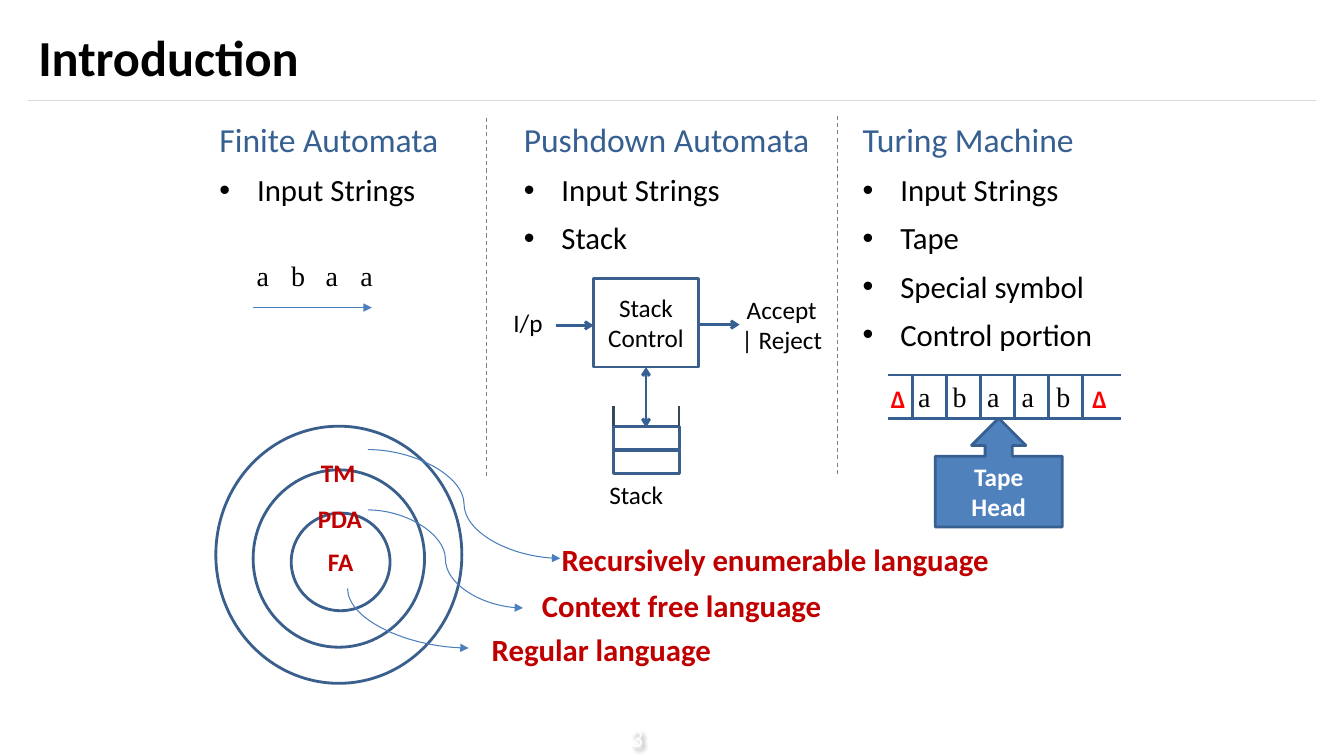
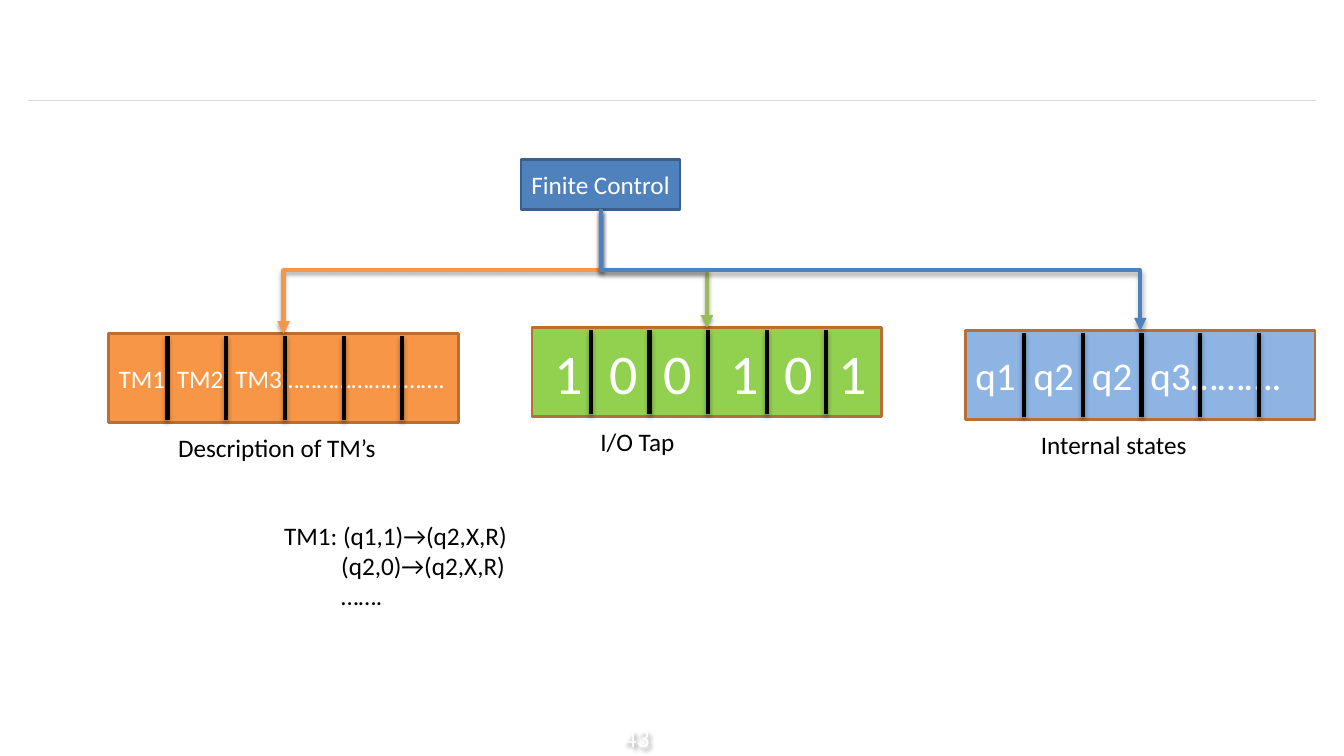
from lxml import etree
from pptx import Presentation
from pptx.dml import color
from pptx.enum import dml, shapes, text
from pptx.oxml import ns
from pptx.util import Cm, Pt

BLACK, WHITE, RED = "000000", "FFFFFF", "C00000"
NAVY, OUTLINE, BLUE, CURVE = "376092", "3A5F8C", "4F81BD", "4B7EBC"
GREY, RULE, SLATE = "808080", "D9D9D9", "34495E"
ORANGE, LIME, SKY, BROWN, OLIVE = "F79646", "92D050", "8EB4E3", "B76F34", "9BBB59"

STRAIGHT = shapes.MSO_CONNECTOR.STRAIGHT
ELBOW = shapes.MSO_CONNECTOR.ELBOW
CURVED = shapes.MSO_CONNECTOR.CURVE
RECTANGLE = shapes.MSO_SHAPE.RECTANGLE
LEFT, CENTER = text.PP_ALIGN.LEFT, text.PP_ALIGN.CENTER
TOP, MIDDLE = text.MSO_ANCHOR.TOP, text.MSO_ANCHOR.MIDDLE


def rgb(value):
    return color.RGBColor.from_string(value)


def child(parent, tag, **attributes):
    return etree.SubElement(parent, ns.qn(tag), attributes)


def set_values(target, values):
    for name, value in values.items():
        setattr(target, name, value)


class Deck:
    font = {"name": "Calibri", "size": Pt(18), "bold": False}
    strip_width, strip_height, cell = 8.81, 2.24, 1.48

    def __init__(self):
        self.presentation = Presentation()
        set_values(self.presentation, {"slide_width": Cm(33.87), "slide_height": Cm(19.05)})
        self.slide = None

    def new_slide(self, number, title=None):
        layout = self.presentation.slide_layouts[5 if title else 6]
        self.slide = self.presentation.slides.add_slide(layout)
        self.line((0.71, 2.54), (33.17, 2.54), RULE, 0.75)
        page = self.label(number, 14.88, 18.08, 2.34, 1.02, align=CENTER,
                          anchor=MIDDLE, tint=WHITE)
        self.shadow(page, "2700000", "38100")
        if title:
            placeholder = self.slide.shapes.title
            self.place(placeholder, 0.71, 0.3, 32.46, 2.24)
            self.set_text(placeholder, title, anchor=MIDDLE, size=Pt(36), bold=True)

    def place(self, shape, left, top, width, height):
        set_values(shape, {"left": Cm(left), "top": Cm(top),
                           "width": Cm(width), "height": Cm(height)})

    def paragraph(self, paragraph, content, align=LEFT, tint=BLACK, **font):
        paragraph.alignment = align
        run = paragraph.add_run()
        run.text = content
        set_values(run.font, {**self.font, **font})
        run.font.color.rgb = rgb(tint)

    def set_text(self, shape, content, anchor=TOP, **style):
        frame = shape.text_frame
        set_values(frame, {"word_wrap": True, "vertical_anchor": anchor})
        self.paragraph(frame.paragraphs[0], content, **style)

    def label(self, content, left, top, width, height=1.02, **style):
        box = self.slide.shapes.add_textbox(Cm(left), Cm(top), Cm(width), Cm(height))
        self.set_text(box, content, **style)
        return box

    def indent(self, paragraph, margin, first=0):
        properties = paragraph._p.get_or_add_pPr()
        properties.set("marL", str(Cm(margin)))
        properties.set("indent", str(Cm(first)))
        return properties

    def column(self, left, heading, items):
        box = self.label(heading, left, 2.74, 8.15, 14.81, tint=NAVY, size=Pt(24))
        box.text_frame.paragraphs[0].line_spacing = 1.14
        for item in items:
            paragraph = box.text_frame.add_paragraph()
            properties = self.indent(paragraph, 0.95, -0.95)
            child(properties, "a:buFont", typeface="Arial")
            child(properties, "a:buChar", char="•")
            set_values(paragraph, {"line_spacing": 1.14, "space_before": Pt(4.4)})
            self.paragraph(paragraph, item, size=Pt(22))

    def shape(self, kind, left, top, width, height, content=None,
              fill=None, outline=OUTLINE, **style):
        shape = self.slide.shapes.add_shape(kind, Cm(left), Cm(top), Cm(width), Cm(height))
        shape.shadow.inherit = False
        if fill:
            shape.fill.solid()
            shape.fill.fore_color.rgb = rgb(fill)
        else:
            shape.fill.background()
        shape.line.color.rgb = rgb(outline)
        shape.line.width = Pt(2)
        if content:
            self.set_text(shape, content, **{"anchor": MIDDLE, "align": CENTER, **style})
        return shape

    def shadow(self, shape, direction="5400000", distance="23000"):
        properties = shape._element.spPr
        effects = properties.find(ns.qn("a:effectLst"))
        if effects is None:
            effects = child(properties, "a:effectLst")
        outer = child(effects, "a:outerShdw", blurRad="40000", dist=distance,
                      dir=direction, rotWithShape="0")
        child(child(outer, "a:srgbClr", val=BLACK), "a:alpha", val="35000")

    def line(self, start, end, tint=NAVY, width=2, kind=STRAIGHT,
             head=None, tail=None, dash=None):
        connector = self.slide.shapes.add_connector(
            kind, *(Cm(value) for value in (*start, *end)))
        connector.line.color.rgb = rgb(tint)
        connector.line.width = Pt(width)
        if dash:
            connector.line.dash_style = dash
        properties = connector._element.spPr
        outline = properties.find(ns.qn("a:ln"))
        for tag, arrow in (("a:headEnd", head), ("a:tailEnd", tail)):
            if arrow:
                child(outline, tag, type=arrow)
        child(properties, "a:effectLst")
        return connector

    def downward(self, start, end, kind, tint, width, preset=None, drop=None):
        (x1, y1), (x2, y2) = start, end
        middle_x, middle_y = (x1 + x2) / 2, (y1 + y2) / 2
        across, down = abs(x2 - x1) / 2, (y2 - y1) / 2
        side = 1 if x2 > x1 else -1
        connector = self.line((middle_x + side * down, middle_y - across),
                              (middle_x - side * down, middle_y + across),
                              tint, width, kind, tail="triangle")
        properties = connector._element.spPr
        properties.find(ns.qn("a:xfrm")).set("rot", "16200000" if side > 0 else "5400000")
        geometry = properties.find(ns.qn("a:prstGeom"))
        if preset:
            geometry.set("prst", preset)
        if drop:
            share = round(drop / (y2 - y1) * 100000)
            child(geometry.find(ns.qn("a:avLst")), "a:gd", name="adj1", fmla=f"val {share}")
        return connector

    def letters(self, content, left, top):
        for index, letter in enumerate(content):
            self.label(letter, left + 0.87 * index, top, 0.84, 1.12,
                       name="Times New Roman", size=Pt(20))

    def strip(self, left, top, fill, content, size, tabs):
        shape = self.shape(RECTANGLE, left, top, self.strip_width, self.strip_height,
                           content, fill, BROWN, align=LEFT, size=Pt(size), tint=WHITE)
        properties = shape.text_frame.paragraphs[0]._p.get_or_add_pPr()
        stops = child(properties, "a:tabLst")
        for tab in tabs:
            child(stops, "a:tab", pos=str(Cm(tab)), algn="l")
        for index in range(1, 6):
            x = left + self.cell * index
            self.shadow(self.line((x, top + 0.06), (x, top + 2.18), BLACK, 3))


def introduction(deck):
    deck.new_slide("3", "Introduction")
    deck.column(5.28, "Finite Automata", ["Input Strings"])
    deck.column(12.95, "Pushdown Automata", ["Input Strings", "Stack"])
    deck.column(21.49, "Turing Machine",
                ["Input Strings", "Tape", "Special symbol", "Control portion"])
    for x, top in ((12.27, 2.97), (21.11, 2.92)):
        deck.line((x, top), (x, top + 9.06), GREY, 0.75, dash=dml.MSO_LINE.DASH)

    tape_top, tape_bottom = 9.45, 10.54
    for y in (tape_top, tape_bottom):
        deck.line((22.38, y), (28.24, y))
    for index in range(6):
        x = 22.99 + 0.86 * index
        deck.line((x, tape_top), (x, tape_bottom))
    deck.shape(shapes.MSO_SHAPE.UP_ARROW_CALLOUT, 23.57, tape_bottom, 3.2, 2.74,
               "Tape Head", BLUE, NAVY, tint=WHITE, bold=True)

    for top in (10.74, 11.35):
        deck.shape(RECTANGLE, 15.47, top, 1.65, 0.58)
    for x in (15.47, 17.11):
        deck.line((x, 10.74), (x, 10.24), SLATE)
    deck.line((14.02, 8.2), (14.96, 8.2), tail="arrow")
    deck.line((17.6, 8.18), (18.64, 8.18), tail="arrow")
    deck.shape(RECTANGLE, 14.96, 7.01, 2.64, 2.24, "Stack Control")
    deck.line((16.28, 9.25), (16.28, 10.77), head="arrow", tail="arrow")
    for content, left, top, width in (("I/p", 12.67, 7.7, 1.27),
                                      ("Accept | Reject", 18.39, 7.75, 2.62),
                                      ("Stack", 15.02, 12.04, 2.03)):
        deck.label(content, left, top, width, 0.86, align=CENTER, anchor=MIDDLE)

    emphasis = {"align": CENTER, "tint": RED, "bold": True}
    for bounds, content in (((5.44, 10.74, 6.2, 6.48), None),
                            ((6.38, 11.84, 4.32, 4.47), None),
                            ((7.34, 12.93, 2.49, 2.46), "FA")):
        deck.shape(shapes.MSO_SHAPE.OVAL, *bounds, content, **emphasis)
    deck.label("TM", 6.73, 11.4, 3.58, **emphasis)
    deck.label("PDA", 7.09, 12.55, 2.95, **emphasis)
    deck.downward((8.76, 14.83), (11.81, 16.33), CURVED, CURVE, 0.75, "curvedConnector2")
    for start, end in (((9.27, 12.85), (13.18, 15.32)), ((9.27, 11.33), (14.12, 14.07))):
        deck.line(start, end, CURVE, 0.75, CURVED, tail="triangle")
    for content, left, top, width in (
            ("Regular language", 11.66, 15.93, 6.99),
            ("Context free language", 13.06, 14.83, 8.23),
            ("Recursively enumerable language", 13.77, 13.67, 11.53)):
        deck.label(content, left, top, width, 0.86, anchor=MIDDLE, size=Pt(22), **emphasis)

    deck.letters("abaa", 6.22, 6.4)
    deck.line((6.38, 7.75), (9.37, 7.75), CURVE, 0.75, tail="triangle")
    deck.letters("abaab", 22.89, 9.43)
    for left in (27.28, 22.2):
        deck.label("Δ", left, 9.53, 0.9, tint="FF0000", bold=True)


def universal_machine(deck):
    deck.new_slide("43")
    deck.shape(RECTANGLE, 13.13, 4.01, 4.01, 1.27, "Finite Control", BLUE, tint=WHITE)
    pitch = [1.47, 2.94, 4.41]
    strips = (
        (2.74, 8.41, ORANGE, "TM1\tTM2\tTM3……………………….", 18, pitch,
         ORANGE, "Description of TM’s", 4.24),
        (13.41, 8.26, LIME, "\t1\t0\t0\t1\t0\t1", 40, [0.32, 1.69, 3.05, 4.74, 6.1, 7.46],
         OLIVE, "I/O Tap", 14.88),
        (24.33, 8.33, SKY, "q1\tq2\tq2\tq3……….", 28, pitch,
         BLUE, "Internal states", 25.98))
    for left, top, fill, content, size, tabs, _, caption, caption_left in strips:
        deck.strip(left, top, fill, content, size, tabs)
        deck.label(caption, caption_left, top + 2.37, 6)
    for left, top, *_, tint, _, _ in strips:
        branch = deck.downward((15.14, 5.28), (left + deck.strip_width / 2, top),
                               ELBOW, tint, 3, drop=1.53)
        deck.shadow(branch)
    rules = deck.label("TM1: (q1,1)→(q2,X,R)", 6.91, 12.98, 7, 2.57)
    for content in ("(q2,0)→(q2,X,R)", "……."):
        paragraph = rules.text_frame.add_paragraph()
        deck.indent(paragraph, 1.44)
        deck.paragraph(paragraph, content)


def main():
    deck = Deck()
    introduction(deck)
    universal_machine(deck)
    deck.presentation.save("out.pptx")


if __name__ == "__main__":
    main()
